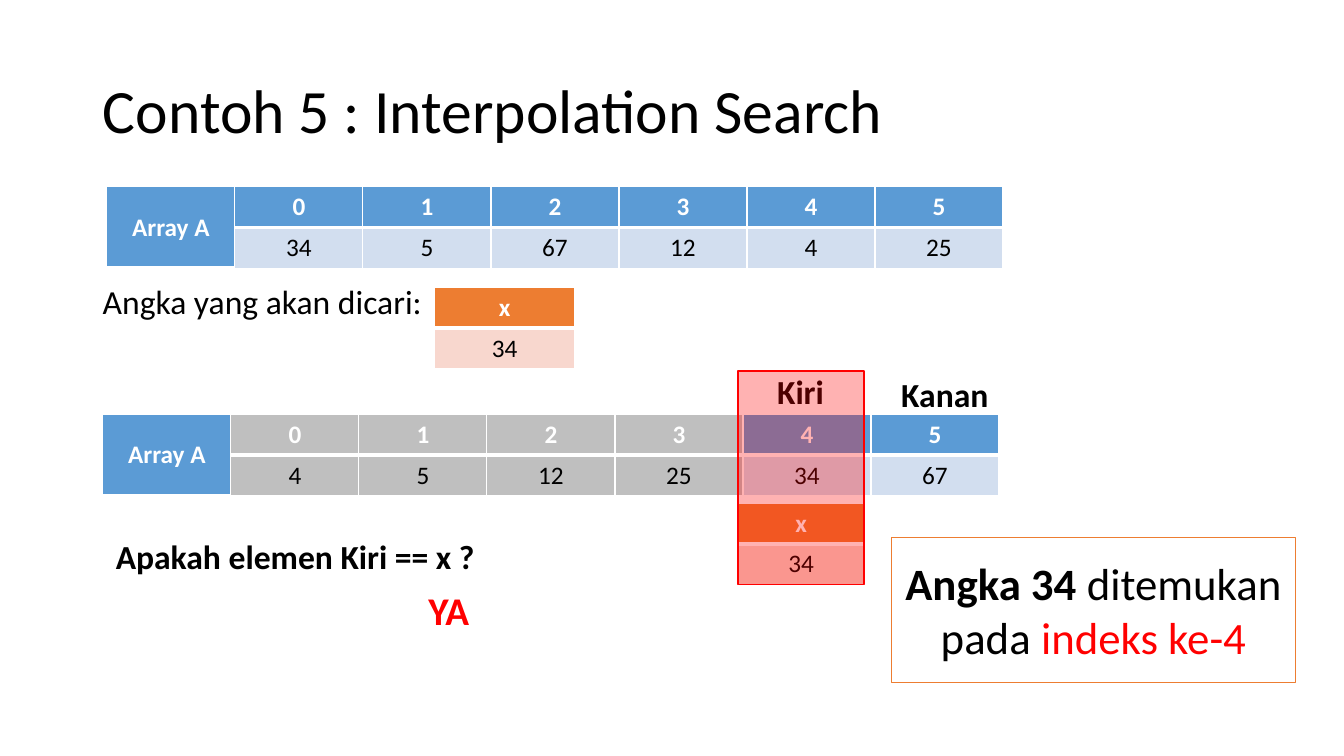
"""Build the slide that closes the interpolation search example."""
from lxml.etree import SubElement
from pptx import Presentation
from pptx.dml.color import RGBColor
from pptx.enum.shapes import MSO_SHAPE
from pptx.enum.text import MSO_ANCHOR, MSO_AUTO_SIZE, PP_ALIGN
from pptx.oxml.ns import qn
from pptx.util import Inches, Pt

TITLE = "Contoh 5 : Interpolation Search"
BLACK, WHITE, RED, ORANGE = "000000", "FFFFFF", "FF0000", "ED7D31"
BLUE = ("5B9BD5", "D2DEEF")
PEACH = (ORANGE, "F8D7CE")
GREY = ("BFBFBF", "BFBFBF")
CELL, ROW = 1.27, 0.405

ARRAYS = [
    (1.06, 1.85, [34, 5, 67, 12, 4, 25], 0),
    (1.02, 4.11, [4, 5, 12, 25, 34, 67], 4),
]
KEYS = [(4.31, 2.85, 1.39), (7.31, 4.99, CELL)]
LABELS = [
    ("Angka yang akan dicari:", 0.92, 2.74, 3.39, 0.5, 24, BLACK, False),
    ("Kiri", 7.61, 3.63, 0.67, 0.5, 24, BLACK, True),
    ("Kanan", 8.84, 3.66, 1.08, 0.5, 24, BLACK, True),
    ("Apakah elemen Kiri == x ?", 1.05, 5.27, 3.8, 0.5, 24, BLACK, True),
    ("YA", 4.15, 5.77, 0.61, 0.57, 28, RED, True),
]
FOCUS = (7.32, 3.68, 1.25, 2.12)
RESULT = (8.84, 5.33, 4.01, 1.44)
ANSWER = [
    ("Angka 34 ", BLACK, True),
    ("ditemukan pada ", BLACK, False),
    ("indeks ke-4", RED, False),
]


def color(code):
    return RGBColor.from_string(code)


def paint(item, code):
    item.fill.solid()
    item.fill.fore_color.rgb = color(code)


def write(para, text, size, code=BLACK, bold=False):
    run = para.add_run()
    run.text = text
    run.font.name = "Calibri"
    run.font.size = Pt(size)
    run.font.bold = bold
    run.font.color.rgb = color(code)


def edge(cell, head):
    props = cell._tc.get_or_add_tcPr()
    thick = "lnB" if head else "lnT"
    for side in ("lnL", "lnR", "lnT", "lnB"):
        width = Pt(3 if side == thick else 1)
        line = SubElement(props, qn(f"a:{side}"), w=str(width))
        fill = SubElement(line, qn("a:solidFill"))
        SubElement(fill, qn("a:srgbClr"), val=WHITE)


def fill_cell(cell, text, code, head):
    edge(cell, head)
    paint(cell, code)
    cell.vertical_anchor = MSO_ANCHOR.MIDDLE
    para = cell.text_frame.paragraphs[0]
    para.alignment = PP_ALIGN.CENTER
    if text:
        write(para, text, 18, WHITE if head else BLACK, head)


def add_grid(slide, left, top, width, cols):
    """Draw columns given as (head, value, colour pair)."""
    size = Inches(width * len(cols)), Inches(ROW * 2)
    grid = slide.shapes.add_table(2, len(cols), Inches(left), Inches(top), *size).table
    for col, (head, value, pair) in enumerate(cols):
        grid.columns[col].width = Inches(width)
        fill_cell(grid.cell(0, col), head, pair[0], True)
        fill_cell(grid.cell(1, col), value, pair[1], False)
    return grid


def add_array(slide, left, top, values, done):
    cols = [("Array A", "", (BLUE[0], BLUE[0]))]
    for index, value in enumerate(values):
        cols.append((str(index), str(value), GREY if index < done else BLUE))
    grid = add_grid(slide, left, top, CELL, cols)
    grid.cell(0, 0).merge(grid.cell(1, 0))


def add_label(slide, text, left, top, width, height, size, code, bold):
    box = slide.shapes.add_textbox(*map(Inches, (left, top, width, height)))
    frame = box.text_frame
    frame.word_wrap = False
    frame.auto_size = MSO_AUTO_SIZE.SHAPE_TO_FIT_TEXT
    write(frame.paragraphs[0], text, size, code, bold)


def add_box(slide, area, fill, line):
    box = slide.shapes.add_shape(MSO_SHAPE.RECTANGLE, *map(Inches, area))
    box.shadow.inherit = False
    paint(box, fill)
    box.line.color.rgb = color(line)
    box.line.width = Pt(1)
    return box


def add_title(slide):
    title = slide.shapes.title
    title.left, title.top, title.width, title.height = map(Inches, (0.92, 0.4, 11.5, 1.45))
    title.text_frame.vertical_anchor = MSO_ANCHOR.MIDDLE
    para = title.text_frame.paragraphs[0]
    para.alignment = PP_ALIGN.LEFT
    para.line_spacing = 0.9
    write(para, TITLE, 44)


def main():
    deck = Presentation()
    deck.slide_width, deck.slide_height = Inches(13.33), Inches(7.5)
    slide = deck.slides.add_slide(deck.slide_layouts[5])
    add_title(slide)
    for array in ARRAYS:
        add_array(slide, *array)
    for key in KEYS:
        add_grid(slide, *key, [("x", "34", PEACH)])
    for label in LABELS:
        add_label(slide, *label)

    focus = add_box(slide, FOCUS, RED, RED)
    tint = focus._element.spPr.find(qn("a:solidFill"))[0]
    SubElement(tint, qn("a:alpha"), val="30000")

    frame = add_box(slide, RESULT, WHITE, ORANGE).text_frame
    frame.word_wrap = True
    frame.vertical_anchor = MSO_ANCHOR.MIDDLE
    para = frame.paragraphs[0]
    para.alignment = PP_ALIGN.CENTER
    for text, code, bold in ANSWER:
        write(para, text, 32, code, bold)
    deck.save("out.pptx")


if __name__ == "__main__":
    main()
